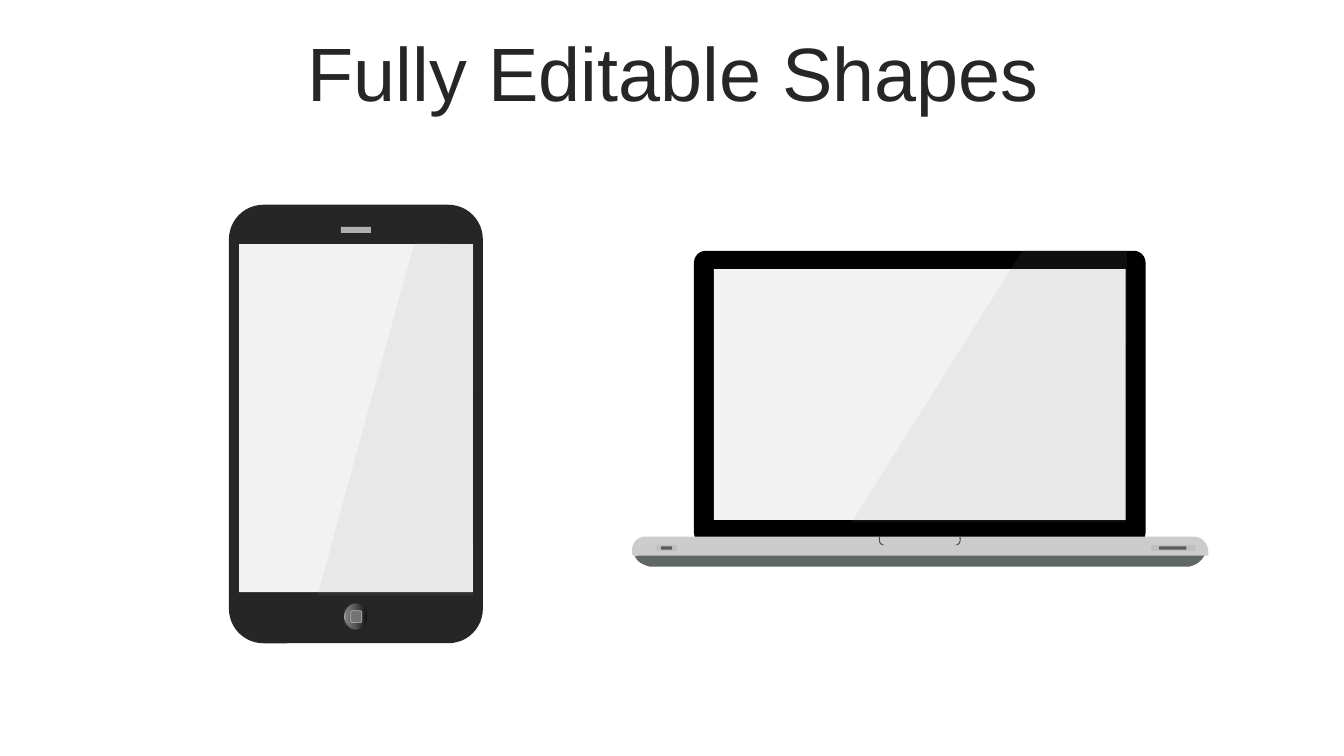
from pptx import Presentation
from pptx.dml.color import RGBColor
from pptx.enum.shapes import MSO_SHAPE
from pptx.enum.text import MSO_ANCHOR, PP_ALIGN
from pptx.oxml.ns import qn
from pptx.oxml.xmlchemy import OxmlElement
from pptx.util import Cm, Pt

COLORS = {
    "ink": "262626", "speaker": "B0B0B0", "icon": "737373", "screen": "F2F2F2",
    "lid": "000000", "base": "5F6767", "deck": "CCCCCC", "notch": "4D4D4D",
    "slot": "BFBFBF", "slot_core": "595959", "glare": "999999",
}
TITLE = "Fully Editable Shapes"
TITLE_BOX = (0.89, 0.93, 32.16, 2.01)
BUTTON_STOPS = [(0, "0F0F0F"), (56, "595959"), (91, "808080"), (100, "BFBFBF")]
GLARE_OPACITY = 10
CURVE_STEPS = 12

# Boxes are left, top, width, height in centimetres.
PHONE = {
    "body": (5.77, 5.16, 6.4, 11.05),
    "speaker": (8.59, 5.72, 0.76, 0.15),
    "button": (8.66, 15.19, 0.61, 0.69),
    "icon": (8.84, 15.39, 0.28, 0.3),
    "screen": (6.03, 6.15, 5.89, 8.77),
}
LID = (17.49, 6.32, 11.38, 7.4)
LAPTOP_SCREEN = (17.99, 6.78, 10.38, 6.32)
SLOTS = [
    ((16.54, 13.74, 0.53, 0.15), (16.66, 13.77, 0.28, 0.08)),
    ((29.01, 13.74, 1.12, 0.15), (29.21, 13.77, 0.69, 0.08)),
]

# Outlines: two numbers are a corner, six are a cubic curve.
BASE = [
    (29.95, 14.28), (29.95, 14.28, 30.23, 14.25, 30.35, 14.0),
    (30.35, 13.92, 30.3, 13.87, 30.23, 13.87), (16.13, 13.92),
    (16.05, 13.92, 16.0, 13.97, 16.0, 14.02),
    (16.08, 14.2, 16.28, 14.25, 16.38, 14.28),
]
DECK = [
    (16.28, 13.52), (30.07, 13.52), (30.28, 13.52, 30.45, 13.69, 30.45, 13.89),
    (30.45, 13.97), (30.45, 13.97, 30.45, 14.02, 30.3, 14.0), (16.1, 14.0),
    (16.0, 14.02, 15.93, 14.02, 15.93, 13.94), (15.93, 13.87),
    (15.93, 13.66, 16.08, 13.52, 16.28, 13.52),
]
NOTCH_RIGHT = [
    (24.18, 13.52), (24.21, 13.52), (24.23, 13.74, 24.13, 13.74, 24.08, 13.74),
    (24.05, 13.74), (24.13, 13.72, 24.21, 13.69, 24.18, 13.54),
]
NOTCH_CENTER = 23.18
PHONE_GLARE = [(10.44, 6.12), (11.94, 6.15), (11.91, 15.01), (8.0, 15.01)]
LAPTOP_GLARE = [(25.78, 6.3), (28.4, 6.3), (28.37, 13.16), (21.46, 13.16)]


def rgb(name):
    return RGBColor.from_string(COLORS[name])


def finish(shape, color):
    shape.shadow.inherit = False
    shape.fill.solid()
    shape.fill.fore_color.rgb = rgb(color)
    shape.line.fill.background()
    return shape


def add_box(group, kind, box, color, rounding=None):
    shape = group.shapes.add_shape(kind, *map(Cm, box))
    if rounding is not None:
        shape.adjustments[0] = rounding
    return finish(shape, color)


def flatten(outline):
    """Turn an outline with cubic curves into a list of corners."""
    points = [outline[0]]
    for segment in outline[1:]:
        if len(segment) == 2:
            points.append(segment)
            continue
        start = points[-1]
        for step in range(1, CURVE_STEPS + 1):
            t = step / CURVE_STEPS
            u = 1 - t
            points.append(tuple(
                u**3 * start[axis] + 3 * u * u * t * segment[axis]
                + 3 * u * t * t * segment[axis + 2] + t**3 * segment[axis + 4]
                for axis in (0, 1)))
    return points


def add_outline(group, color, *outlines):
    """Draw one freeform that holds every given outline."""
    contours = [[(Cm(x), Cm(y)) for x, y in flatten(outline)]
                for outline in outlines]
    builder = group.shapes.build_freeform(*contours[0][0])
    for index, points in enumerate(contours):
        if index:
            builder.move_to(*points[0])
        builder.add_line_segments(points[1:], close=True)
    return finish(builder.convert_to_shape(), color)


def add_glare(group, outline):
    shape = add_outline(group, "glare", outline)
    alpha = OxmlElement("a:alpha")
    alpha.set("val", str(GLARE_OPACITY * 1000))
    next(shape.element.spPr.iter(qn("a:srgbClr"))).append(alpha)


def shade_button(shape):
    shape.fill.gradient()
    shape.fill.gradient_angle = 180
    stop_list = next(shape.element.spPr.iter(qn("a:gsLst")))
    for stop in list(stop_list):
        stop_list.remove(stop)
    for position, value in BUTTON_STOPS:
        stop = OxmlElement("a:gs")
        stop.set("pos", str(position * 1000))
        color = OxmlElement("a:srgbClr")
        color.set("val", value)
        stop.append(color)
        stop_list.append(stop)


def set_line(shape, color, width):
    shape.line.color.rgb = rgb(color)
    shape.line.width = Pt(width)


def add_title(slide):
    title = slide.shapes.title
    title.left, title.top, title.width, title.height = map(Cm, TITLE_BOX)
    frame = title.text_frame
    frame.word_wrap = True
    frame.vertical_anchor = MSO_ANCHOR.MIDDLE
    paragraph = frame.paragraphs[0]
    paragraph.alignment = PP_ALIGN.CENTER
    paragraph.line_spacing = 0.9
    paragraph.space_before = Pt(10)
    run = paragraph.add_run()
    run.text = TITLE
    run.font.name = "Arial"
    run.font.size = Pt(54)
    run.font.color.rgb = rgb("ink")


def add_phone(slide):
    phone = slide.shapes.add_group_shape()
    add_box(phone, MSO_SHAPE.ROUNDED_RECTANGLE, PHONE["body"], "ink", 0.136)
    add_box(phone, MSO_SHAPE.RECTANGLE, PHONE["speaker"], "speaker")
    button = add_box(phone, MSO_SHAPE.OVAL, PHONE["button"], "ink")
    shade_button(button)
    set_line(button, "ink", 0)
    icon = add_box(phone, MSO_SHAPE.ROUNDED_RECTANGLE, PHONE["icon"], "icon")
    set_line(icon, "speaker", 0.5)
    add_box(phone, MSO_SHAPE.RECTANGLE, PHONE["screen"], "screen")
    add_glare(phone, PHONE_GLARE)


def add_laptop(slide):
    laptop = slide.shapes.add_group_shape()
    add_outline(laptop, "base", BASE)
    add_box(laptop, MSO_SHAPE.ROUNDED_RECTANGLE, LID, "lid", 0.04)
    add_box(laptop, MSO_SHAPE.RECTANGLE, LAPTOP_SCREEN, "screen")
    add_outline(laptop, "deck", DECK)
    right = flatten(NOTCH_RIGHT)
    left = [(2 * NOTCH_CENTER - x, y) for x, y in right]
    add_outline(laptop, "notch", right, left)
    for slot in SLOTS:
        for box, color in zip(slot, ("slot", "slot_core")):
            add_box(laptop, MSO_SHAPE.ROUNDED_RECTANGLE, box, color, 0.282)
    add_glare(laptop, LAPTOP_GLARE)


def main():
    presentation = Presentation()
    presentation.slide_width, presentation.slide_height = Cm(33.87), Cm(19.05)
    slide = presentation.slides.add_slide(presentation.slide_layouts[5])
    add_title(slide)
    add_phone(slide)
    add_laptop(slide)
    presentation.save("out.pptx")


if __name__ == "__main__":
    main()
